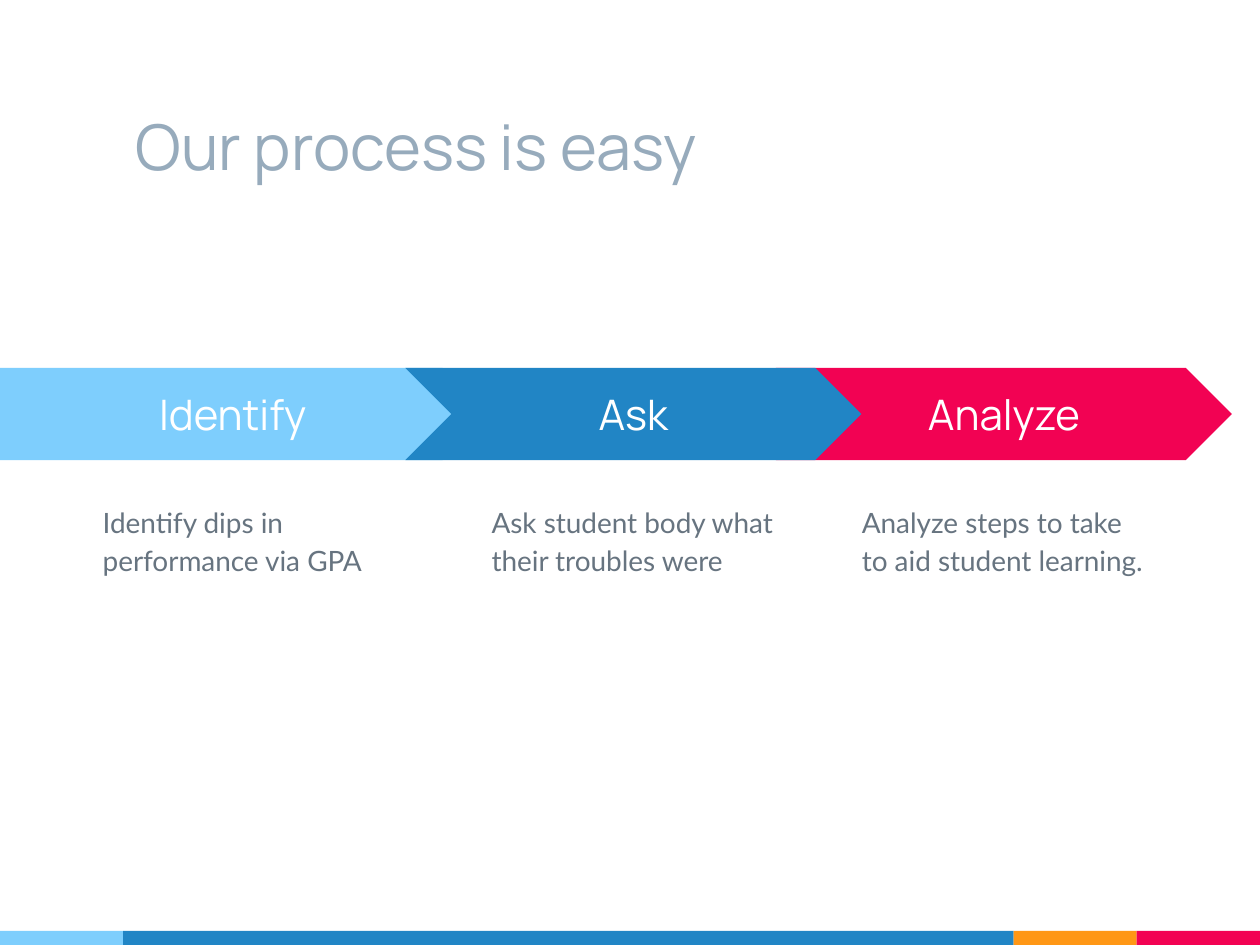
import pptx
import pptx.util
import pptx.dml.color
import pptx.enum.shapes
import pptx.enum.text

Pt = pptx.util.Pt
SHAPES = pptx.enum.shapes.MSO_SHAPE
ANCHOR = pptx.enum.text.MSO_ANCHOR
ALIGN = pptx.enum.text.PP_ALIGN

SKY, BLUE, ORANGE, RED = "7ECEFD", "2185C5", "FF9715", "F20253"
TITLE_GRAY, BODY_GRAY, WHITE = "97ABBC", "677480", "FFFFFF"


def color(hex_code):
    return pptx.dml.color.RGBColor.from_string(hex_code)


class ProcessSlide:
    heading_font = "Manrope"
    body_font = "Lato"
    inset = 7.2

    def __init__(self, slide):
        self.slide = slide

    def set_text(self, frame, words, size, font, ink, anchor, align, spacing=None):
        frame.word_wrap = True
        frame.vertical_anchor = anchor
        frame.margin_left = frame.margin_right = Pt(self.inset)
        frame.margin_top = frame.margin_bottom = Pt(self.inset)
        paragraph = frame.paragraphs[0]
        paragraph.alignment = align
        if spacing:
            paragraph.line_spacing = spacing
        run = paragraph.add_run()
        run.text = words
        run.font.size = Pt(size)
        run.font.name = font
        run.font.color.rgb = color(ink)

    def block(self, kind, left, top, width, height, fill):
        block = self.slide.shapes.add_shape(
            kind, Pt(left), Pt(top), Pt(width), Pt(height))
        block.shadow.inherit = False
        block.fill.solid()
        block.fill.fore_color.rgb = color(fill)
        block.line.fill.background()
        return block

    def step(self, kind, left, top, width, height, fill, label):
        arrow = self.block(kind, left, top, width, height, fill)
        arrow.adjustments[0] = 0.5
        self.set_text(arrow.text_frame, label, 24, self.heading_font, WHITE,
                      ANCHOR.MIDDLE, ALIGN.CENTER)

    def text_box(self, left, top, width, height):
        return self.slide.shapes.add_textbox(
            Pt(left), Pt(top), Pt(width), Pt(height)).text_frame

    def title(self, left, top, width, height, words):
        self.set_text(self.text_box(left, top, width, height), words, 36,
                      self.heading_font, TITLE_GRAY, ANCHOR.BOTTOM, ALIGN.LEFT)

    def caption(self, left, top, width, height, words):
        self.set_text(self.text_box(left, top, width, height), words, 16,
                      self.body_font, BODY_GRAY, ANCHOR.TOP, ALIGN.LEFT, 1.15)


def main():
    deck = pptx.Presentation()
    deck.slide_width, deck.slide_height = Pt(720), Pt(540)
    page = ProcessSlide(deck.slides.add_slide(deck.slide_layouts[6]))

    # Footer stripe
    left = 0
    for width, fill in ((70.4, SKY), (508.8, BLUE), (70.4, ORANGE), (70.4, RED)):
        page.block(SHAPES.RECTANGLE, left, 532, width, 8, fill)
        left += width

    # Title
    page.title(70.4, 21.6, 508.8, 90, "Our process is easy")

    # Steps, back to front: each arrow overlaps its neighbour's notch
    steps = (
        (SHAPES.CHEVRON, 443.4, 260.6, RED, "Analyze",
         485.4, "Analyze steps to take to aid student learning."),
        (SHAPES.PENTAGON, 0, 279.2, SKY, "Identify",
         51.6, "Identify dips in performance via GPA"),
        (SHAPES.CHEVRON, 231.6, 260.6, BLUE, "Ask",
         273.8, "Ask student body what their troubles were"),
    )
    for kind, left, width, fill, label, caption_left, words in steps:
        page.step(kind, left, 210.3, width, 52.6, fill, label)
        page.caption(caption_left, 278.6, 176.4, 206, words)

    deck.save("out.pptx")


if __name__ == "__main__":
    main()
